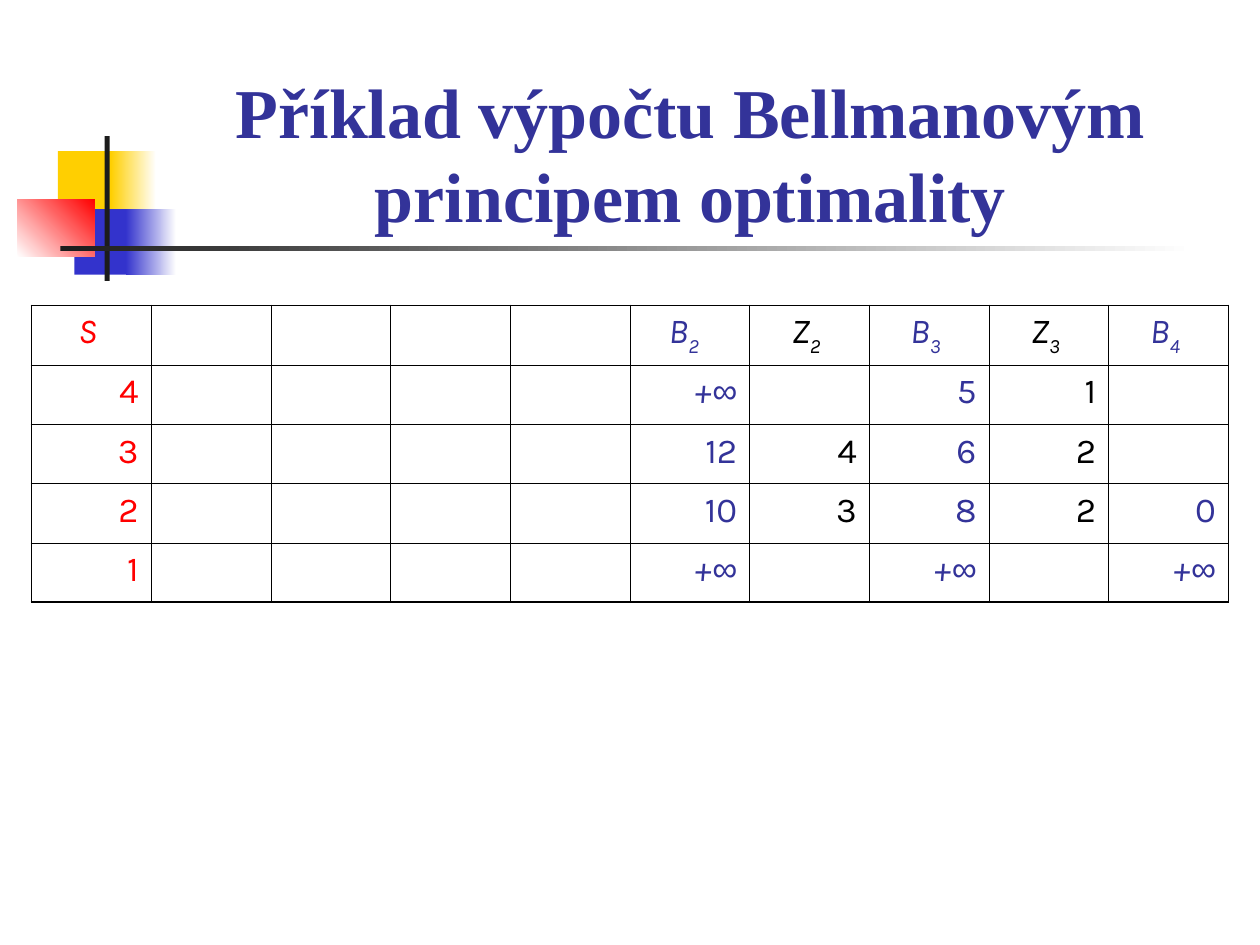
from lxml.etree import SubElement
from pptx import Presentation
from pptx.dml.color import RGBColor
from pptx.enum.shapes import MSO_SHAPE
from pptx.enum.text import MSO_ANCHOR, MSO_AUTO_SIZE, PP_ALIGN
from pptx.oxml.ns import qn
from pptx.util import Inches, Pt

COLORS = {
    "gold": "FFCF01", "blue": "3333CC", "red": "FF0000", "dark": "1C1C1C",
    "white": "FFFFFF", "navy": "333399", "black": "000000",
}
BARS = [
    # left, top, width, height, start colour, end colour, angle
    (0.46, 1.2, 0.48, 0.52, "gold", None, 0),
    (0.88, 1.2, 0.36, 0.52, "gold", "white", 0),
    (0.59, 1.66, 0.46, 0.52, "blue", None, 0),
    (1, 1.66, 0.4, 0.52, "blue", "white", 0),
    (0.14, 1.58, 0.61, 0.46, "white", "red", 45),
    (0.83, 1.08, 0.04, 1.15, "dark", None, 0),
    (0.48, 1.95, 9, 0.04, "dark", "white", 0),
]
HEAD = ["S", "", "", "", "", "B2 ", "Z2", "B3", "Z3", "B4"]
ROWS = [
    ["4", "", "", "", "", "+∞", "", "5", "1", ""],
    ["3", "", "", "", "", "12", "4", "6", "2", ""],
    ["2", "", "", "", "", "10", "3", "8", "2", "0"],
    ["1", "", "", "", "", "+∞", "", "+∞", "", "+∞"],
]
TINTS = {"S": "red", "B": "navy", "Z": "black"}


def rgb(name):
    return RGBColor.from_string(COLORS[name])


def add_text(para, text, font="Karla", size=20, color="black",
             bold=False, italic=False, sub=False):
    run = para.add_run()
    run.text = text
    run.font.name = font
    run.font.size = Pt(size)
    run.font.bold = bold
    run.font.italic = italic
    run.font.color.rgb = rgb(color)
    if sub:
        run._r.get_or_add_rPr().set("baseline", "-30000")


def add_bar(slide, left, top, width, height, start, end, angle):
    bar = slide.shapes.add_shape(
        MSO_SHAPE.RECTANGLE, Inches(left), Inches(top), Inches(width), Inches(height))
    bar.shadow.inherit = False
    bar.line.fill.background()
    if end is None:
        bar.fill.solid()
        bar.fill.fore_color.rgb = rgb(start)
        return
    bar.fill.gradient()
    bar.fill.gradient_angle = angle
    for stop, name, place in zip(bar.fill.gradient_stops, (start, end), (0, 1)):
        stop.color.rgb = rgb(name)
        stop.position = place


def set_title(slide, text):
    title = slide.shapes.title
    title.left, title.top = Inches(1.22), Inches(0.68)
    title.width, title.height = Inches(8.52), Inches(1.25)
    frame = title.text_frame
    frame.word_wrap = True
    frame.auto_size = MSO_AUTO_SIZE.NONE
    frame.vertical_anchor = MSO_ANCHOR.BOTTOM
    para = frame.paragraphs[0]
    para.alignment = PP_ALIGN.CENTER
    add_text(para, text, font="Times New Roman", size=40, color="navy", bold=True)


def set_edges(cell, outer):
    """Draw the four cell borders, thicker on the sides named in outer."""
    props = cell._tc.get_or_add_tcPr()
    for side in "LRTB":
        width = Pt(1.08 if side in outer else 0.45)
        line = SubElement(props, qn(f"a:ln{side}"), w=str(width))
        fill = SubElement(line, qn("a:solidFill"))
        SubElement(fill, qn("a:srgbClr"), val=COLORS["black"])


def fill_cell(cell, text, color, head):
    cell.margin_left, cell.margin_right = Inches(0.04), Inches(0.1)
    cell.margin_top = cell.margin_bottom = Inches(0.05)
    para = cell.text_frame.paragraphs[0]
    para.alignment = PP_ALIGN.CENTER if head else PP_ALIGN.RIGHT
    if head:
        add_text(para, text[0], color=color, italic=True)
        if text[1:]:
            add_text(para, text[1:], color=color, italic=True, sub=True)
    elif text == "+∞":
        add_text(para, "+", color=color, italic=True)
        add_text(para, "∞", font="Arial", color=color, italic=True)
    else:
        add_text(para, text, color=color)


def add_grid(slide):
    data = [HEAD] + ROWS
    last_row, last_col = len(ROWS), len(HEAD) - 1
    table = slide.shapes.add_table(
        len(data), len(HEAD), Inches(0.25), Inches(2.42), Inches(9.5), Inches(2.36)).table
    table.first_row = table.horz_banding = False
    for col in table.columns:
        col.width = Inches(0.95)
    for r, values in enumerate(data):
        table.rows[r].height = Inches(0.47 if r else 0.48)
        for c, text in enumerate(values):
            cell = table.cell(r, c)
            sides = {"L": c == 0, "R": c == last_col, "B": r == last_row}
            set_edges(cell, [side for side, edge in sides.items() if edge])
            cell.fill.background()
            if text:
                fill_cell(cell, text, TINTS[HEAD[c][0]], head=r == 0)


def main():
    deck = Presentation()
    deck.slide_width, deck.slide_height = Inches(10), Inches(7.5)
    slide = deck.slides.add_slide(deck.slide_layouts[5])
    for bar in BARS:
        add_bar(slide, *bar)
    set_title(slide, "Příklad výpočtu Bellmanovým principem optimality")
    add_grid(slide)
    deck.save("out.pptx")


if __name__ == "__main__":
    main()
